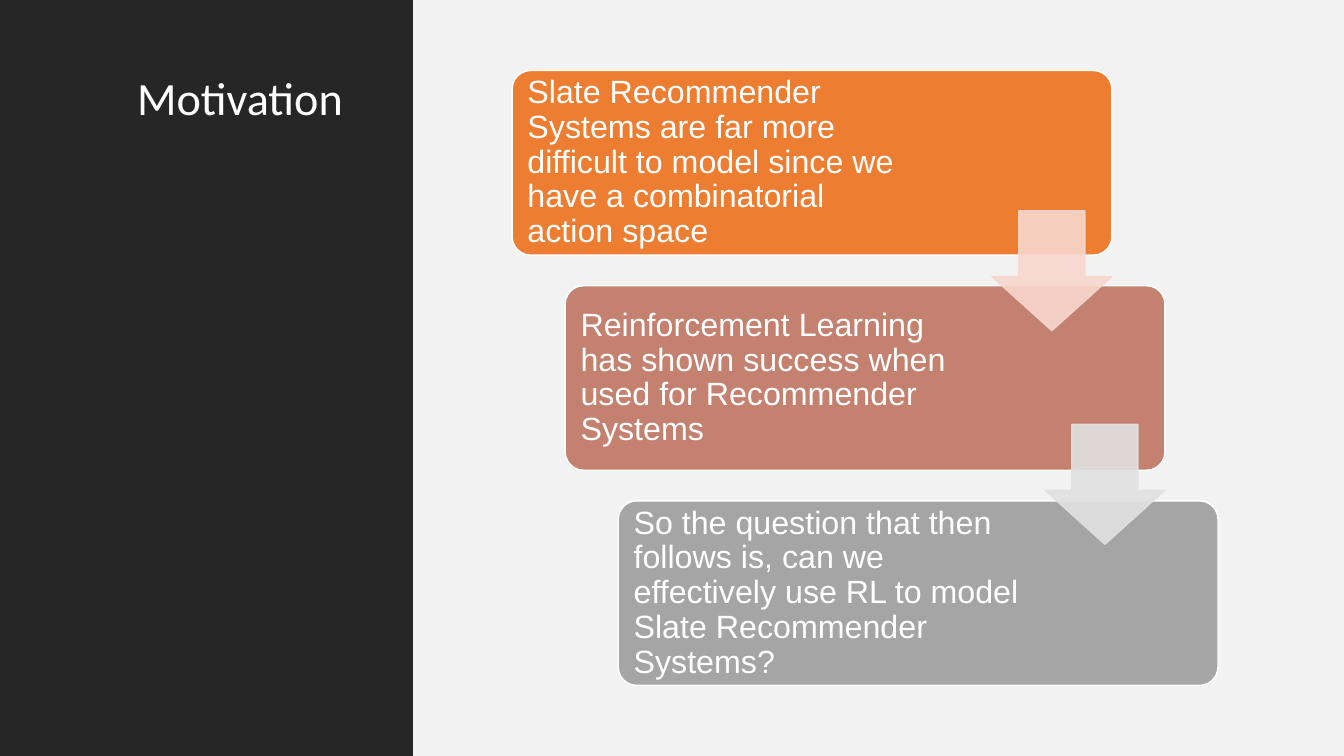
from lxml import etree
from pptx import Presentation
from pptx.dml.color import RGBColor
from pptx.enum.shapes import MSO_SHAPE
from pptx.enum.text import MSO_ANCHOR, MSO_AUTO_SIZE, PP_ALIGN
from pptx.oxml.ns import qn
from pptx.util import Pt

RECT = MSO_SHAPE.RECTANGLE
ROUND = MSO_SHAPE.ROUNDED_RECTANGLE
ARROW = MSO_SHAPE.DOWN_ARROW
TOP, MIDDLE = MSO_ANCHOR.TOP, MSO_ANCHOR.MIDDLE
LEFT = PP_ALIGN.LEFT
NO_FIT = MSO_AUTO_SIZE.NONE

COLORS = {
    "white": "FFFFFF", "panel": "F2F2F2", "sidebar": "262626",
    "orange": "ED7D31", "clay": "C48170", "gray": "A5A5A5",
    "pale_orange": "F8D7CE", "pale_gray": "E1E1E1",
}
TITLE = {"size": Pt(33), "name": "Calibri", "bold": False}
BODY = {"size": Pt(23), "name": "Arial"}
TITLE_FRAME = {"word_wrap": True, "auto_size": NO_FIT, "vertical_anchor": TOP}
BODY_FRAME = {
    "word_wrap": True, "auto_size": NO_FIT, "vertical_anchor": MIDDLE,
    "margin_left": Pt(7.2), "margin_right": Pt(7.2),
    "margin_top": Pt(7.2), "margin_bottom": Pt(7.2),
}
STEPS = [
    ("Slate Recommender Systems are far more difficult to model since we "
     "have a combinatorial action space", "orange", 285.8),
    ("Reinforcement Learning has shown success when used for Recommender "
     "Systems", "clay", 296.6),
    ("So the question that then follows is, can we effectively use RL to "
     "model Slate Recommender Systems?", "gray", 296.6),
]
ARROWS = ["pale_orange", "pale_gray"]


def rgb(name):
    """Return the named colour."""
    return RGBColor.from_string(COLORS[name])


def set_attrs(obj, values):
    """Set each attribute listed in values on obj."""
    for key, value in values.items():
        setattr(obj, key, value)


def add_block(shapes, kind, box, fill, line=None, adj=()):
    """Add a filled preset shape, outlined if a line colour is given."""
    sp = shapes.add_shape(kind, *map(Pt, box))
    sp.shadow.inherit = False
    sp.fill.solid()
    sp.fill.fore_color.rgb = rgb(fill)
    if line:
        sp.line.color.rgb = rgb(line)
        sp.line.width = Pt(1)
    else:
        sp.line.fill.background()
    for i, value in enumerate(adj):
        sp.adjustments[i] = value
    return sp


def set_text(sp, text, font, frame):
    """Write one white paragraph into sp."""
    tf = sp.text_frame
    set_attrs(tf, frame)
    p = tf.paragraphs[0]
    set_attrs(p, {"alignment": LEFT, "line_spacing": 0.9})
    r = p.add_run()
    r.text = text
    set_attrs(r.font, font)
    r.font.color.rgb = rgb("white")


def set_alpha(sp, percent):
    """Make the fill and line of sp partly transparent."""
    for clr in sp.element.iter(qn("a:srgbClr")):
        etree.SubElement(clr, qn("a:alpha")).set("val", str(percent * 1000))


def add_sidebar(s, box):
    """Draw the dark sidebar with the slide title."""
    x, y, w, h = box
    add_block(s.shapes, RECT, box, "sidebar")
    title = s.shapes.title
    s.shapes.element.append(title.element)
    set_attrs(title, {"left": Pt(x + 90.7), "top": Pt(y + 50.4),
                      "width": Pt(172.8), "height": Pt(h - 100.8)})
    set_text(title, "Motivation", TITLE, TITLE_FRAME)


def add_staircase(s, box):
    """Draw the stepped boxes and the arrows between them."""
    x, y, w, h = box
    step_w, step_h = 428.4, 131.8
    last = len(STEPS) - 1
    dx, dy = (w - step_w) / last, (h - step_h) / last
    shapes = s.shapes.add_group_shape().shapes
    for i, (text, fill, text_w) in enumerate(STEPS):
        left, top = x + i * dx, y + i * dy
        add_block(shapes, ROUND, (left, top, step_w, step_h), fill,
                  "white", [0.1])
        tb = shapes.add_textbox(Pt(left + 3.9), Pt(top + 3.9),
                                Pt(text_w), Pt(step_h - 7.8))
        set_text(tb, text, BODY, BODY_FRAME)
    size = 85.7
    for i, fill in enumerate(ARROWS):
        spot = (x + step_w - size + i * dx, y + 100.1 + i * 152.6, size, size)
        sp = add_block(shapes, ARROW, spot, fill, fill, [0.45, 0.55])
        set_attrs(sp, {"name": f"Arrow {i + 1}"})
        sp.adjustments[0], sp.adjustments[1] = 0.55, 0.45
        set_alpha(sp, 90)


def build_motivation(prs):
    """Build the motivation slide."""
    s = prs.slides.add_slide(prs.slide_layouts[5])
    add_block(s.shapes, RECT, (294.5, 0, 665.5, 540), "panel")
    add_sidebar(s, (0, 0, 295, 540))
    add_staircase(s, (365.8, 50.4, 504.2, 439.2))


def main():
    """Create and save the presentation."""
    prs = Presentation()
    set_attrs(prs, {"slide_width": Pt(960), "slide_height": Pt(540)})
    build_motivation(prs)
    prs.save("out.pptx")


if __name__ == "__main__":
    main()
